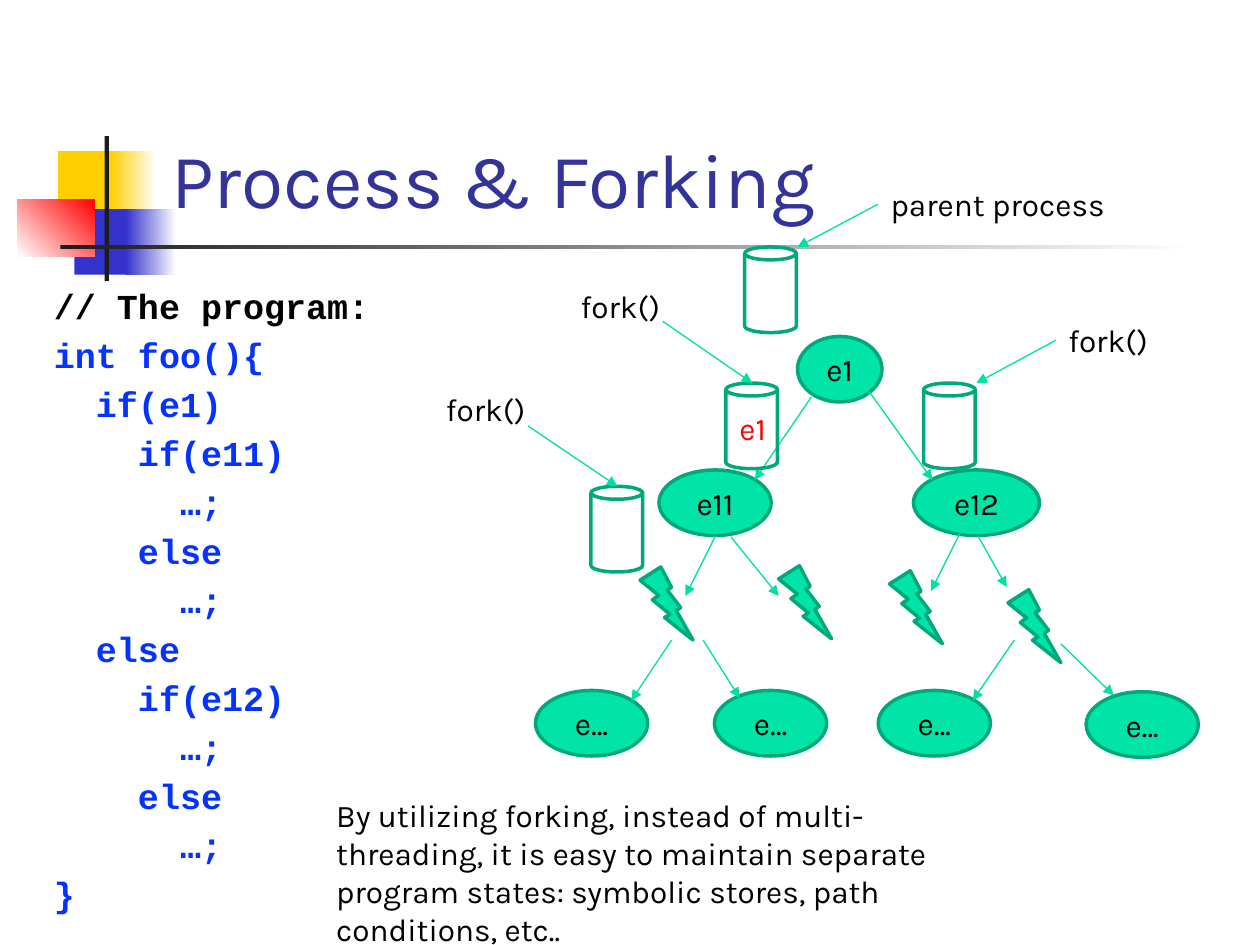
from lxml.etree import SubElement
from pptx import Presentation
from pptx.dml.color import RGBColor
from pptx.enum.shapes import MSO_CONNECTOR, MSO_SHAPE
from pptx.enum.text import MSO_ANCHOR, PP_ALIGN
from pptx.oxml.ns import qn
from pptx.util import Inches, Pt

COLS, ROWS = 100, 75

CODE = """// The program:
int foo(){
  if(e1)
    if(e11)
      …;
    else
      …;
  else
    if(e12)
      …;
    else
      …;
}"""

SUMMARY = ("By utilizing forking, instead of multi-threading, it is easy to maintain "
           "separate program states: symbolic stores, path conditions, etc..")

YELLOW, BLUE, RED, BLACK, WHITE = "FFCF01", "3333CC", "FF0000", "1C1C1C", "FFFFFF"
# left, top, width, height, colours (two make a gradient), angle
DECORATION = [
    (4.6, 12, 4.8, 5.2, [YELLOW], 0),
    (8.8, 12, 3.6, 5.2, [YELLOW, WHITE], 0),
    (5.9, 16.6, 4.6, 5.2, [BLUE], 0),
    (10, 16.6, 4, 5.2, [BLUE, WHITE], 0),
    (1.4, 15.8, 6.1, 4.6, [WHITE, RED], 45),
    (8.3, 10.8, 0.35, 11.5, [BLACK], 0),
    (4.8, 19.45, 90, 0.35, [BLACK, WHITE], 0),
]

NODES = [  # left, top, width, label
    (63.3, 26.7, 6.7, "e1"),
    (52.3, 37.3, 8.9, "e11"),
    (72.5, 37.3, 10, "e12"),
    (42.5, 54.8, 8.9, "e…"),
    (56.7, 54.8, 8.9, "e…"),
    (69.7, 54.8, 8.9, "e…"),
    (86.2, 54.9, 8.9, "e…"),
]
BOLTS = [(50.8, 45), (61.8, 44.9), (70.6, 45.3), (80, 46.8)]
PROCESSES = [(59.1, 19.6), (57.6, 30.4), (73.3, 30.4), (46.9, 38.6)]

TREE_ARROWS = [
    (64.4, 31.5, 59.9, 38.1), (69, 31.1, 74, 38.1),
    (56.8, 42.5, 54.4, 47.3), (58, 42.6, 61.8, 47.3),
    (76.3, 42.1, 73.9, 46.9), (77.6, 42.5, 79.9, 46.6),
    (53.3, 50.8, 50.1, 55.6), (55.8, 50.8, 58.7, 55.4),
    (80.5, 50.8, 77.2, 55.6), (84.2, 51.1, 88.4, 55.2),
]
CALLOUTS = [  # text, left, top, width, arrow
    ("parent process", 69.7, 14.2, 22, (69.7, 16.2, 63.3, 19.6)),
    ("fork()", 45.1, 22.3, 12.2, (52.6, 25.5, 59.7, 30.4)),
    ("fork()", 83.8, 25, 12.2, (83.8, 27, 77.5, 30.4)),
    ("fork()", 34.4, 30.5, 12.2, (41.9, 33.8, 49, 38.6)),
]


def color(hex_code):
    return RGBColor.from_string(hex_code)


def write(tf, text, size=18, font="Karla", fill="000000", bold=False,
          align=PP_ALIGN.LEFT, anchor=MSO_ANCHOR.TOP, gap=0, first_fill=None):
    """Fill a text frame, one paragraph a line; first_fill recolours the first."""
    tf.word_wrap = True
    tf.vertical_anchor = anchor
    for i, line in enumerate(text.split("\n")):
        p = tf.add_paragraph() if i else tf.paragraphs[0]
        p.alignment = align
        if i and gap:
            p.space_before = Pt(gap)
        r = p.add_run()
        r.text = line
        r.font.size, r.font.name, r.font.bold = Pt(size), font, bold
        r.font.color.rgb = color(first_fill if first_fill and not i else fill)


class Deck:
    node_fill, outline, arrow_color = "00E4A8", "00A97C", "00DFA4"

    def __init__(self):
        self.prs = Presentation()
        self.prs.slide_width, self.prs.slide_height = Inches(10), Inches(7.5)
        self.s = self.prs.slides.add_slide(self.prs.slide_layouts[6])

    def place(self, *grid):
        """Turn alternating columns and rows into slide lengths."""
        units = (self.prs.slide_width / COLS, self.prs.slide_height / ROWS)
        return [round(n * units[i % 2]) for i, n in enumerate(grid)]

    def block(self, x, y, w, h, colors, angle):
        sp = self.s.shapes.add_shape(MSO_SHAPE.RECTANGLE, *self.place(x, y, w, h))
        sp.shadow.inherit = False
        sp.line.fill.background()
        if len(colors) == 1:
            sp.fill.solid()
            sp.fill.fore_color.rgb = color(colors[0])
            return
        sp.fill.gradient()
        sp.fill.gradient_angle = angle
        for stop, c in zip(sp.fill.gradient_stops, colors):
            stop.color.rgb = color(c)

    def outlined(self, kind, x, y, w, h, filled=True):
        sp = self.s.shapes.add_shape(kind, *self.place(x, y, w, h))
        sp.shadow.inherit = False
        sp.line.color.rgb, sp.line.width = color(self.outline), Pt(2)
        if filled:
            sp.fill.solid()
            sp.fill.fore_color.rgb = color(self.node_fill)
        else:
            sp.fill.background()
        return sp

    def node(self, x, y, w, label):
        sp = self.outlined(MSO_SHAPE.OVAL, x, y, w, 5.2)
        write(sp.text_frame, label, align=PP_ALIGN.CENTER, anchor=MSO_ANCHOR.MIDDLE)

    def bolt(self, x, y):
        self.outlined(MSO_SHAPE.LIGHTNING_BOLT, x, y, 4.2, 5.8)

    def process(self, x, y):
        self.outlined(MSO_SHAPE.CAN, x, y, 4.1, 6.8, filled=False)

    def arrow(self, *ends):
        c = self.s.shapes.add_connector(MSO_CONNECTOR.STRAIGHT, *self.place(*ends))
        c.line.color.rgb, c.line.width = color(self.arrow_color), Pt(0.75)
        SubElement(c.line._get_or_add_ln(), qn("a:tailEnd"), type="triangle")
        SubElement(c._element.spPr, qn("a:effectLst"))

    def text(self, text, x, y, w, h, **style):
        box = self.s.shapes.add_textbox(*self.place(x, y, w, h))
        write(box.text_frame, text, **style)


def main():
    deck = Deck()
    for part in DECORATION:
        deck.block(*part)
    deck.text("Process & Forking", 12.6, 2.3, 85.2, 16, size=44, fill="333399",
              anchor=MSO_ANCHOR.BOTTOM)
    deck.text(CODE, 3.3, 22.1, 94.6, 45, size=20, font="Courier New", bold=True,
              fill="0432FF", first_fill="000000", gap=4)
    for node in NODES:
        deck.node(*node)
    for ends in TREE_ARROWS:
        deck.arrow(*ends)
    for spot in BOLTS:
        deck.bolt(*spot)
    deck.text("e1", 57.7, 32, 8.9, 4, fill=RED)
    for spot in PROCESSES:
        deck.process(*spot)
    for label, x, y, w, ends in CALLOUTS:
        deck.text(label, x, y, w, 4)
        deck.arrow(*ends)
    deck.text(SUMMARY, 25.7, 62.7, 54.2, 10.1)
    deck.prs.save("out.pptx")


if __name__ == "__main__":
    main()
